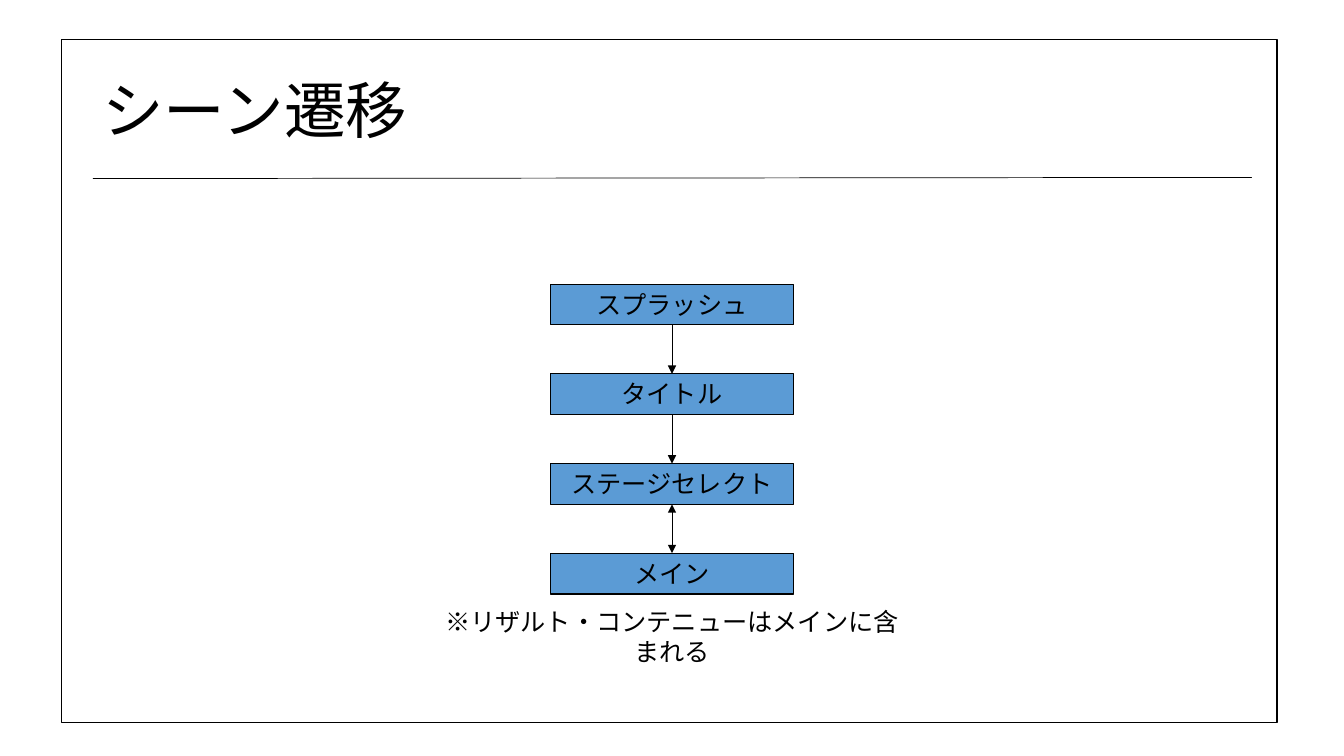
from lxml import etree
from pptx import Presentation
from pptx.dml.color import RGBColor
from pptx.enum.shapes import MSO_CONNECTOR, MSO_SHAPE
from pptx.enum.text import MSO_ANCHOR, MSO_AUTO_SIZE, PP_ALIGN
from pptx.oxml.ns import qn
from pptx.util import Cm, Pt

RECT = MSO_SHAPE.RECTANGLE
LINE = MSO_CONNECTOR.STRAIGHT
MIDDLE, TOP = MSO_ANCHOR.MIDDLE, MSO_ANCHOR.TOP
LEFT, CENTER = PP_ALIGN.LEFT, PP_ALIGN.CENTER
GROW = MSO_AUTO_SIZE.SHAPE_TO_FIT_TEXT

TITLE = "シーン遷移"
SCENES = ["スプラッシュ", "タイトル", "ステージセレクト", "メイン"]
ARROWS = [("tailEnd",), ("tailEnd",), ("headEnd", "tailEnd")]
NOTE = "※リザルト・コンテニューはメインに含まれる"

THEME = {
    "font": "Calibri",
    "ink": RGBColor(0, 0, 0),
    "box": RGBColor(0x5B, 0x9B, 0xD5),
    "title": Pt(44),
    "body": Pt(18),
    "thin": Pt(0.5),
    "edge": Pt(0.75),
    "frame": Pt(1),
}

WIDTH, HEIGHT = 33.87, 19.05
MID = WIDTH / 2
BOX_W, BOX_H = 6.13, 1.03
FIRST, PITCH = 7.16, 2.26
NOTE_W = 12.17


def write(shape, text, size, align, anchor):
    frame = shape.text_frame
    frame.word_wrap = True
    frame.vertical_anchor = anchor
    para = frame.paragraphs[0]
    para.text = text
    para.alignment = align
    para.font.name = THEME["font"]
    para.font.size = size
    para.font.color.rgb = THEME["ink"]
    return frame


def add_text(slide, area, text, size, align, anchor):
    shape = slide.shapes.add_textbox(*map(Cm, area))
    return write(shape, text, size, align, anchor)


def add_rect(slide, area, width, fill=None):
    shape = slide.shapes.add_shape(RECT, *map(Cm, area))
    shape.shadow.inherit = False
    if fill is None:
        shape.fill.background()
    else:
        shape.fill.solid()
        shape.fill.fore_color.rgb = fill
    shape.line.color.rgb = THEME["ink"]
    shape.line.width = width
    return shape


def add_line(slide, ends, heads=()):
    link = slide.shapes.add_connector(LINE, *map(Cm, ends))
    link.line.color.rgb = THEME["ink"]
    link.line.width = THEME["thin"]
    props = link.element.spPr
    etree.SubElement(props, qn("a:effectLst"))
    for head in heads:
        etree.SubElement(props.find(qn("a:ln")), qn("a:" + head), type="triangle")


def main():
    deck = Presentation()
    deck.slide_width, deck.slide_height = Cm(WIDTH), Cm(HEIGHT)
    slide = deck.slides.add_slide(deck.slide_layouts[6])

    title = add_text(slide, (2.33, 1.01, 29.21, 3.68), TITLE,
                     THEME["title"], LEFT, MIDDLE)
    title.paragraphs[0].line_spacing = 0.9

    tops = [FIRST + PITCH * i for i in range(len(SCENES))]
    for top, scene in zip(tops, SCENES):
        box = add_rect(slide, (MID - BOX_W / 2, top, BOX_W, BOX_H),
                       THEME["edge"], THEME["box"])
        write(box, scene, THEME["body"], CENTER, TOP).auto_size = GROW
    for top, below, heads in zip(tops, tops[1:], ARROWS):
        add_line(slide, (MID, top + BOX_H, MID, below), heads)

    note = add_text(slide, (MID - NOTE_W / 2, 15.16, NOTE_W, BOX_H), NOTE,
                    THEME["body"], CENTER, TOP)
    note.auto_size = GROW

    add_rect(slide, (1.55, 0.99, 30.63, 17.22), THEME["frame"])
    add_line(slide, (2.34, 4.5, 31.55, 4.47))
    deck.save("out.pptx")


if __name__ == "__main__":
    main()
